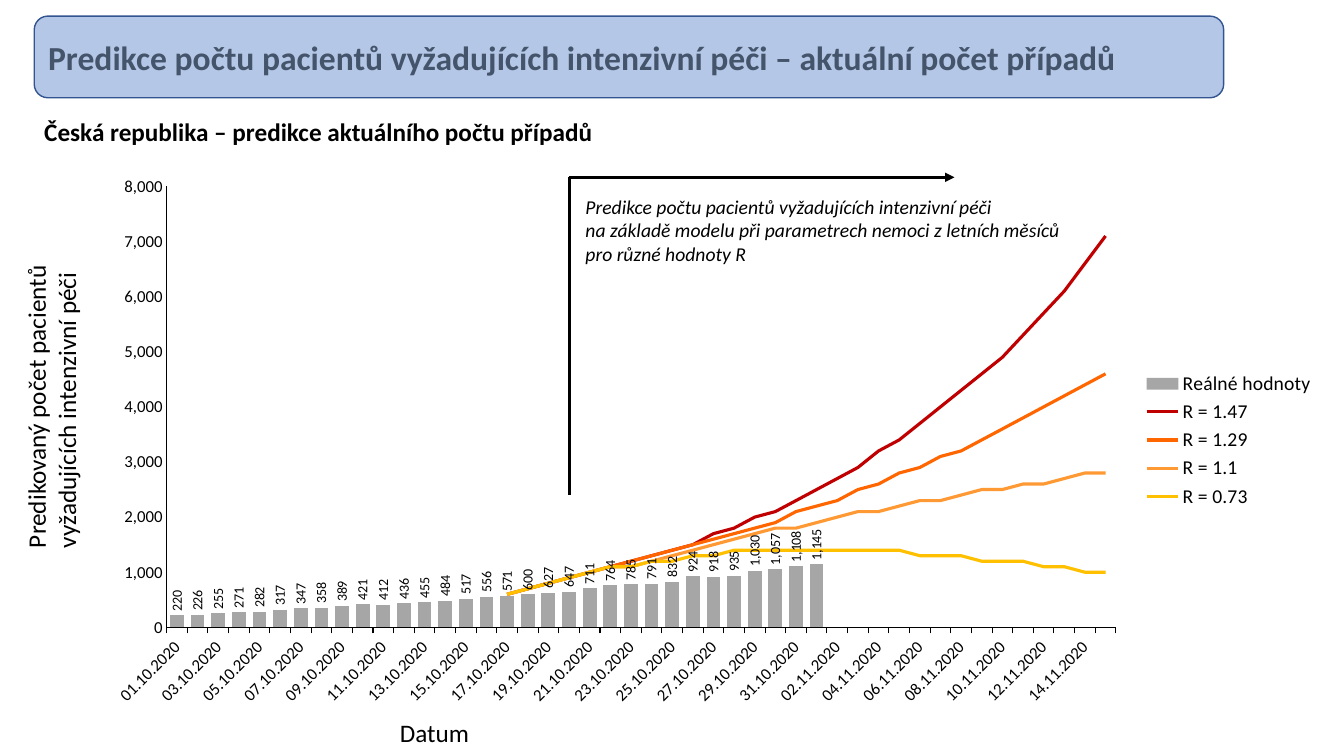
from pptx import Presentation
from pptx.chart.data import CategoryChartData
from pptx.dml.color import RGBColor
from pptx.enum import chart as ch, shapes, text
from pptx.oxml import parse_xml
from pptx.oxml.ns import qn
from pptx.util import Pt

FONT = "Calibri"
NS_A = 'xmlns:a="http://schemas.openxmlformats.org/drawingml/2006/main"'
NS_C = 'xmlns:c="http://schemas.openxmlformats.org/drawingml/2006/chart"'

# Chart data: observed days from 1 October, forecasts from 17 October
DATES = ([f"{d:02}.10.2020" for d in range(1, 32)]
         + [f"{d:02}.11.2020" for d in range(1, 16)])
FORECAST_START = 16
OBSERVED = [220, 226, 255, 271, 282, 317, 347, 358, 389, 421, 412, 436, 455, 484, 517, 556,
            571, 600, 627, 647, 711, 764, 785, 791, 832, 924, 918, 935, 1030, 1057, 1108, 1145]
FORECASTS = [  # name, colour, values in hundreds
    ("R = 1.47", "C00000", [6, 7, 8, 9, 10, 11, 12, 13, 14, 15, 17, 18, 20, 21, 23, 25, 27, 29,
                            32, 34, 37, 40, 43, 46, 49, 53, 57, 61, 66, 71]),
    ("R = 1.29", "FF6600", [6, 7, 8, 9, 10, 11, 12, 13, 14, 15, 16, 17, 18, 19, 21, 22, 23, 25,
                            26, 28, 29, 31, 32, 34, 36, 38, 40, 42, 44, 46]),
    ("R = 1.1", "FF9933", [6, 7, 8, 9, 10, 11, 11, 12, 13, 14, 15, 16, 17, 18, 18, 19, 20, 21,
                           21, 22, 23, 23, 24, 25, 25, 26, 26, 27, 28, 28]),
    ("R = 0.73", "FFC000", [6, 7, 8, 9, 10, 11, 11, 12, 12, 13, 13, 14, 14, 14, 14, 14, 14, 14,
                            14, 14, 13, 13, 13, 12, 12, 12, 11, 11, 10, 10]),
]


def rgb(value):
    return RGBColor.from_string(value)


def style_font(font, size, color="000000", bold=False, italic=False):
    font.name, font.size, font.bold, font.italic = FONT, Pt(size), bold, italic
    font.color.rgb = rgb(color)


def style_line(line, color, width):
    line.color.rgb = rgb(color)
    line.width = Pt(width)


def add_title(slide, x, y, w, h, title):
    sp = slide.shapes.add_shape(shapes.MSO_SHAPE.ROUNDED_RECTANGLE, Pt(x), Pt(y), Pt(w), Pt(h))
    sp.shadow.inherit = False
    sp.fill.solid()
    sp.fill.fore_color.rgb = rgb("B4C7E7")
    style_line(sp.line, "325491", 1)
    tf = sp.text_frame
    tf.vertical_anchor = text.MSO_ANCHOR.MIDDLE
    p = tf.paragraphs[0]
    p.text = title
    p.alignment = text.PP_ALIGN.LEFT
    style_font(p.font, 24, "44546A", bold=True)


def add_label(slide, x, y, w, h, label, size, wrap=True, rotation=0, **style):
    sp = slide.shapes.add_textbox(Pt(x), Pt(y), Pt(w), Pt(h))
    sp.rotation = rotation
    tf = sp.text_frame
    tf.word_wrap = wrap
    p = tf.paragraphs[0]
    p.text = label
    style_font(p.font, size, **style)


def add_rule(slide, x1, y1, x2, y2, arrow=False):
    line = slide.shapes.add_connector(shapes.MSO_CONNECTOR.STRAIGHT, Pt(x1), Pt(y1), Pt(x2), Pt(y2))
    style_line(line.line, "000000", 2.25)
    if arrow:
        line.line._ln.append(parse_xml(f'<a:tailEnd {NS_A} type="triangle"/>'))
    line._element.spPr.append(parse_xml(f"<a:effectLst {NS_A}/>"))


def move_forecasts_to_lines(chart):
    """Put every series after the first into a line plot on the same axes."""
    bars = chart.plots[0]._element
    axes = "".join(f'<c:axId val="{a.get("val")}"/>' for a in bars.findall(qn("c:axId")))
    lines = parse_xml(f'<c:lineChart {NS_C}><c:grouping val="standard"/><c:varyColors val="0"/>'
                      f'<c:marker val="1"/>{axes}</c:lineChart>')
    marker = lines.find(qn("c:marker"))
    for ser in bars.findall(qn("c:ser"))[1:]:
        for bar_only in ser.findall(qn("c:invertIfNegative")):
            ser.remove(bar_only)
        marker.addprevious(ser)
    bars.addnext(lines)


def style_axes(chart):
    for axis in (chart.category_axis, chart.value_axis):
        style_font(axis.tick_labels.font, 12)
        style_line(axis.format.line, "000000", 0.75)
        axis.has_major_gridlines = False
        axis.minor_tick_mark = ch.XL_TICK_MARK.NONE
    dates, counts = chart.category_axis, chart.value_axis
    dates.major_tick_mark = ch.XL_TICK_MARK.OUTSIDE
    dates._element.find(qn("c:txPr")).find(qn("a:bodyPr")).set("rot", "-2700000")
    # Show every second date
    dates._element.find(qn("c:noMultiLvlLbl")).addprevious(
        parse_xml(f'<c:tickLblSkip {NS_C} val="2"/>'))
    counts.major_tick_mark = ch.XL_TICK_MARK.NONE
    counts.minimum_scale, counts.maximum_scale, counts.major_unit = 0, 8000, 1000
    counts.tick_labels.number_format = "#,##0"
    counts.tick_labels.number_format_is_linked = False


def add_forecast_chart(slide, x, y, w, h):
    data = CategoryChartData(number_format="#,##0")
    data.categories = DATES
    data.add_series("Reálné hodnoty", OBSERVED + [None] * (len(DATES) - len(OBSERVED)))
    for name, _, hundreds in FORECASTS:
        data.add_series(name, [None] * FORECAST_START + [v * 100 for v in hundreds])
    chart = slide.shapes.add_chart(ch.XL_CHART_TYPE.COLUMN_CLUSTERED,
                                   Pt(x), Pt(y), Pt(w), Pt(h), data).chart
    style_font(chart.font, 10)
    chart.has_title = False
    move_forecasts_to_lines(chart)
    style_axes(chart)

    # Observed bars with upright values
    bars, lines = chart.plots
    bars.gap_width = 50
    bars.vary_by_categories = False
    observed = bars.series[0]
    observed.format.fill.solid()
    observed.format.fill.fore_color.rgb = rgb("A6A6A6")
    labels = observed.data_labels
    labels.show_value = True
    labels.number_format, labels.number_format_is_linked = "#,##0", False
    labels.position = ch.XL_LABEL_POSITION.OUTSIDE_END
    style_font(labels.font, 10)
    labels._element.find(qn("c:txPr")).find(qn("a:bodyPr")).set("rot", "-5400000")

    # Forecast curves
    for series, (_, color, _) in zip(lines.series, FORECASTS):
        style_line(series.format.line, color, 2.25)
        series.marker.style = ch.XL_MARKER_STYLE.NONE
        series.smooth = False

    # Legend and plot area
    chart.has_legend = True
    chart.legend.position = ch.XL_LEGEND_POSITION.RIGHT
    chart.legend.include_in_layout = False
    style_font(chart.legend.font, 14)
    plot_area = chart._chartSpace.chart.plotArea
    for old in plot_area.findall(qn("c:layout")):
        plot_area.remove(old)
    box = "".join(f'<c:{tag} val="{val}"/>' for tag, val in
                  (("x", 0.06), ("y", 0.04), ("w", 0.77), ("h", 0.8)))
    plot_area.insert(0, parse_xml(
        f'<c:layout {NS_C}><c:manualLayout><c:layoutTarget val="inner"/>'
        f'<c:xMode val="edge"/><c:yMode val="edge"/>{box}</c:manualLayout></c:layout>'))


def add_chart_region(slide, x, y, w, h):
    add_forecast_chart(slide, x, y, w, h)
    # Axis titles
    add_label(slide, x - 138.9, y + 146.1, 218.9, 51.1,
              "Predikovaný počet pacientů\nvyžadujících intenzivní péči", 18, wrap=False, rotation=270)
    add_label(slide, x + 212.4, y + 391.6, 64.8, 28.8, "Datum", 18, wrap=False)


def add_forecast_note(slide, x, y, w, h):
    add_rule(slide, x, y + h, x, y)
    add_rule(slide, x - 0.7, y, x + w, y, arrow=True)
    add_label(slide, x + 4.3, y + 8.7, 394.6, 58.3,
              "Predikce počtu pacientů vyžadujících intenzivní péči\n"
              "na základě modelu při parametrech nemoci z letních měsíců\n"
              "pro různé hodnoty R", 14, italic=True)


def main():
    prs = Presentation()
    prs.slide_width, prs.slide_height = Pt(960), Pt(540)
    slide = prs.slides.add_slide(prs.slide_layouts[6])
    add_title(slide, 24.5, 11.5, 849.6, 58.3,
              "Predikce počtu pacientů vyžadujících intenzivní péči – aktuální počet případů")
    add_chart_region(slide, 66.2, 117.4, 880.6, 393.8)
    add_forecast_note(slide, 406.8, 126.7, 275, 226.8)
    add_label(slide, 24.5, 79.2, 450, 28.8,
              "Česká republika – predikce aktuálního počtu případů", 18, bold=True)
    prs.save("out.pptx")


if __name__ == "__main__":
    main()
